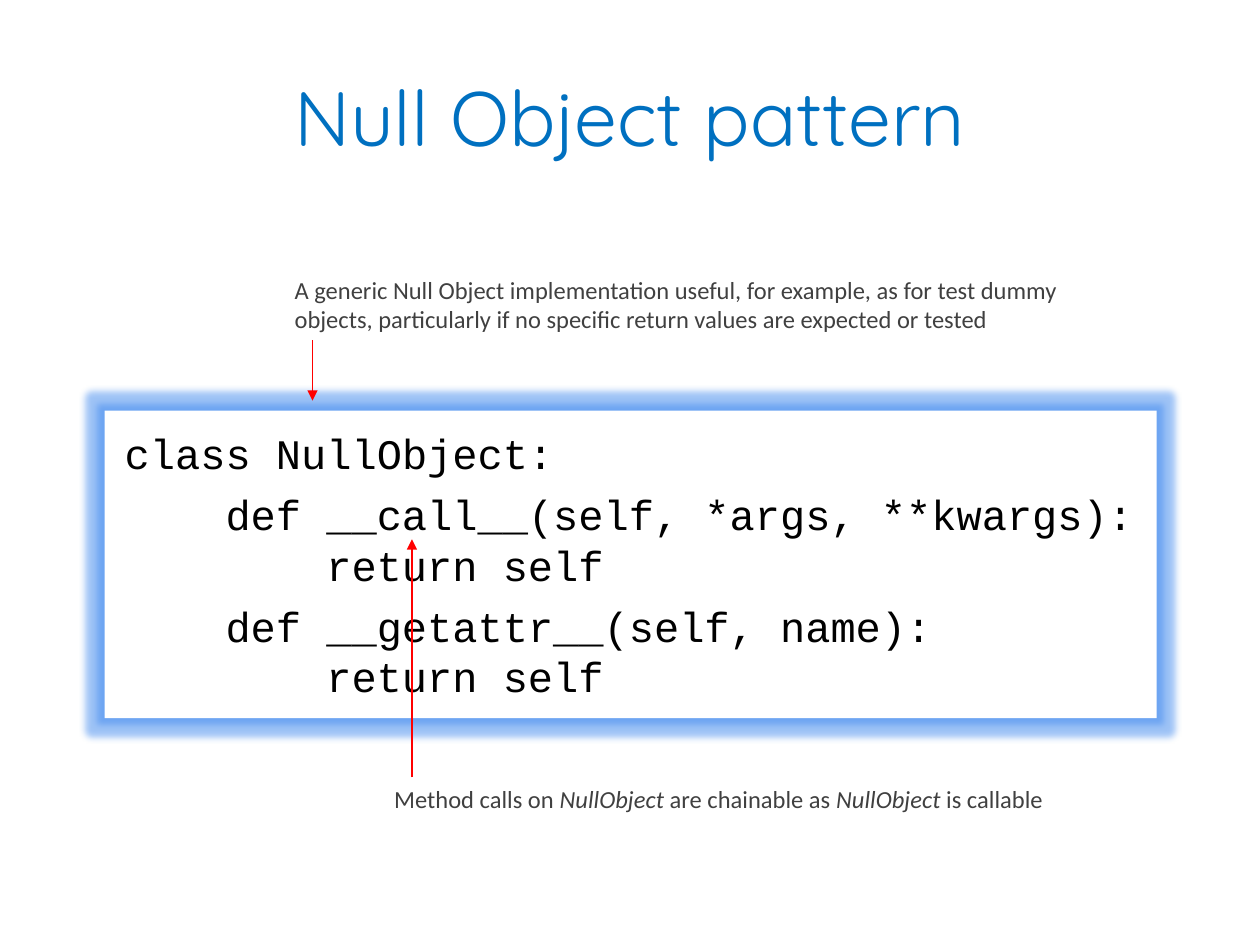
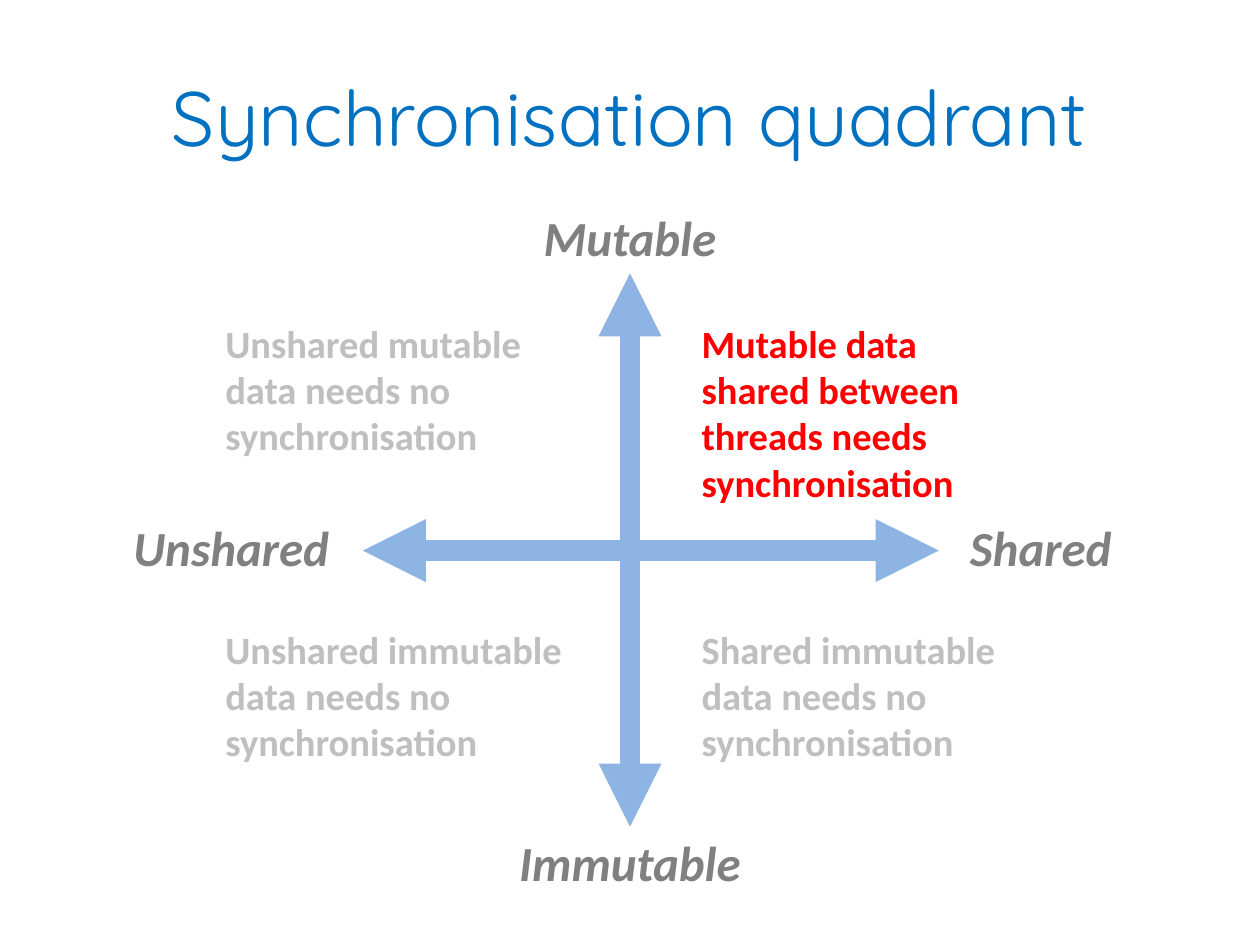
from dataclasses import dataclass

from lxml import etree
from pptx import Presentation
from pptx import util as u
from pptx.dml.color import RGBColor
from pptx.enum import shapes, text
from pptx.oxml import ns

# Square grid over the 10 x 7.5 inch slide
COLS, ROWS = 100, 75
CELL = u.Inches(0.1)


@dataclass(frozen=True)
class Theme:
    title_font: str = "Quicksand"
    body_font: str = "Calibri"
    code_font: str = "Courier New"
    title_size: float = 44
    axis_size: float = 28
    code_size: float = 24
    quadrant_size: float = 22
    note_size: float = 14
    code_gap: float = 6
    pointer_width: float = 0.75
    axis_width: float = 12
    title: str = "0070C0"
    paper: str = "FFFFFF"
    code: str = "000000"
    note: str = "404040"
    accent: str = "FF0000"
    axis: str = "8EB4E3"
    axis_label: str = "808080"
    muted: str = "BFBFBF"
    glow: str = "3D87EE"


THEME = Theme()


@dataclass(frozen=True)
class Box:
    """An area in grid columns and rows."""
    col: float
    row: float
    width: float
    height: float

    def emu(self):
        return [grid(v) for v in (self.col, self.row, self.width, self.height)]


@dataclass(frozen=True)
class Style:
    font: str
    size: float
    color: str
    bold: bool = False
    italic: bool = False


@dataclass(frozen=True)
class Label:
    words: str
    box: Box
    style: Style
    align: text.PP_ALIGN = text.PP_ALIGN.LEFT


@dataclass(frozen=True)
class CodeLine:
    words: str
    level: int = 0
    gap: float = 0


TITLE = Style(THEME.title_font, THEME.title_size, THEME.title)
CODE = Style(THEME.code_font, THEME.code_size, THEME.code)
NOTE = Style(THEME.body_font, THEME.note_size, THEME.note)
AXIS = Style(THEME.body_font, THEME.axis_size, THEME.axis_label, True, True)
MUTED = Style(THEME.body_font, THEME.quadrant_size, THEME.muted, True)
ALERT = Style(THEME.body_font, THEME.quadrant_size, THEME.accent, True)
TITLE_BOX = Box(5, 2.9, 90, 12.5)


def grid(cells: float) -> int:
    return round(cells * CELL)


def apply_style(paragraph, style: Style) -> None:
    font = paragraph.font
    font.name, font.size = style.font, u.Pt(style.size)
    font.bold, font.italic = style.bold, style.italic
    font.color.rgb = RGBColor.from_string(style.color)


def add_label(slide, label: Label, anchor=text.MSO_ANCHOR.TOP):
    """Add text; stretches between asterisks are italic."""
    area = slide.shapes.add_textbox(*label.box.emu())
    frame = area.text_frame
    frame.word_wrap = True
    frame.vertical_anchor = anchor
    paragraph = frame.paragraphs[0]
    paragraph.alignment = label.align
    apply_style(paragraph, label.style)
    for index, words in enumerate(label.words.split("*")):
        run = paragraph.add_run()
        run.text = words
        if index % 2:
            run.font.italic = True
    return area


def add_arrow(slide, start: tuple[float, float], end: tuple[float, float],
              color: str, width: float, both_ends: bool = False):
    arrow = slide.shapes.add_connector(
        shapes.MSO_CONNECTOR.STRAIGHT, *map(grid, start + end))
    arrow.line.color.rgb = RGBColor.from_string(color)
    arrow.line.width = u.Pt(width)
    outline = arrow.line._get_or_add_ln()
    for tag in ["a:headEnd"] * both_ends + ["a:tailEnd"]:
        etree.SubElement(outline, ns.qn(tag), type="triangle")
    etree.SubElement(arrow._element.spPr, ns.qn("a:effectLst"))
    return arrow


def add_code(slide, box: Box, lines: list[CodeLine]) -> None:
    panel = slide.shapes.add_shape(shapes.MSO_SHAPE.RECTANGLE, *box.emu())
    panel.fill.solid()
    panel.fill.fore_color.rgb = RGBColor.from_string(THEME.paper)
    panel.line.fill.background()
    panel.shadow.inherit = False

    # Soft glow around the panel
    effects = panel._element.spPr.find(ns.qn("a:effectLst"))
    glow = etree.SubElement(effects, ns.qn("a:glow"), rad=str(grid(1)))
    tint = etree.SubElement(glow, ns.qn("a:srgbClr"), val=THEME.glow)
    etree.SubElement(tint, ns.qn("a:alpha"), val="50000")

    # Code, each level indented by four characters of 0.6 em
    frame = panel.text_frame
    frame.word_wrap = True
    frame.vertical_anchor = text.MSO_ANCHOR.MIDDLE
    frame.margin_left = frame.margin_right = grid(1.6)
    frame.margin_top = frame.margin_bottom = grid(0.8)
    indent = u.Pt(4 * 0.6 * THEME.code_size)
    for index, line in enumerate(lines):
        paragraph = frame.add_paragraph() if index else frame.paragraphs[0]
        paragraph.text = line.words
        paragraph.alignment = text.PP_ALIGN.LEFT
        paragraph.space_before = u.Pt(line.gap)
        paragraph._p.get_or_add_pPr().set("marL", str(line.level * indent))
        apply_style(paragraph, CODE)


def add_titled_slide(deck, title: str):
    slide = deck.slides.add_slide(deck.slide_layouts[6])
    add_label(slide, Label(title, TITLE_BOX, TITLE, text.PP_ALIGN.CENTER),
              text.MSO_ANCHOR.MIDDLE)
    return slide


def build_null_object(deck) -> None:
    slide = add_titled_slide(deck, "Null Object pattern")
    gap = THEME.code_gap
    add_code(slide, Box(8.3, 32.6, 83.5, 24.4), [
        CodeLine("class NullObject:"),
        CodeLine("def __call__(self, *args, **kwargs):", 1, gap),
        CodeLine("return self", 2),
        CodeLine("def __getattr__(self, name):", 1, gap),
        CodeLine("return self", 2),
    ])

    # Notes with their pointers
    purpose = ("A generic Null Object implementation useful, for example, "
               "as for test dummy objects, particularly if no specific "
               "return values are expected or tested")
    chaining = ("Method calls on *NullObject* are chainable as "
                "*NullObject* is callable")
    for words, box, start_row, end_row in (
            (purpose, Box(22.4, 21.3, 63, 5.7), 27, 31.8),
            (chaining, Box(30.3, 61.7, 59.1, 3.4), 61.7, 42.8)):
        add_label(slide, Label(words, box, NOTE))
        pointer_col = box.col + 2.4
        add_arrow(slide, (pointer_col, start_row), (pointer_col, end_row),
                  THEME.accent, THEME.pointer_width)


def build_quadrant(deck) -> None:
    slide = add_titled_slide(deck, "Synchronisation quadrant")
    center_col, center_row = COLS / 2, 43.7

    # Axis labels
    width, height = 22, 5.7
    left = center_col - width / 2
    side_row = 40.6
    align = text.PP_ALIGN
    mutable, immutable, _, _ = [
        add_label(slide, Label(words, Box(col, row, width, height), AXIS, side))
        for words, col, row, side in (
            ("Mutable", left, 16, align.CENTER),
            ("Immutable", left, 65.6, align.CENTER),
            ("Unshared", 5.1, side_row, align.RIGHT),
            ("Shared", 76, side_row, align.LEFT))]

    # Axes
    mutability = add_arrow(slide, (center_col, 21.8), (center_col, 65.6),
                           THEME.axis, THEME.axis_width, True)
    mutability.begin_connect(mutable, 2)
    mutability.end_connect(immutable, 0)
    add_arrow(slide, (28.8, center_row), (74.5, center_row),
              THEME.axis, THEME.axis_width, True)

    # Quadrants
    unshared_col, shared_col = 16.9, 54.7
    mutable_row, immutable_row = 24.9, 49.2
    for label in (
            Label("Unshared mutable data needs no synchronisation",
                  Box(unshared_col, mutable_row, 30.7, 12.1), MUTED),
            Label("Unshared immutable data needs no synchronisation",
                  Box(unshared_col, immutable_row, 30.7, 12.1), MUTED),
            Label("Mutable data shared between threads needs synchronisation",
                  Box(shared_col, mutable_row, 26.8, 15.8), ALERT),
            Label("Shared immutable data needs no synchronisation",
                  Box(shared_col, immutable_row, 30.7, 12.1), MUTED)):
        add_label(slide, label)


def main() -> None:
    deck = Presentation()
    deck.slide_width, deck.slide_height = grid(COLS), grid(ROWS)
    build_null_object(deck)
    build_quadrant(deck)
    deck.save("out.pptx")


if __name__ == "__main__":
    main()
